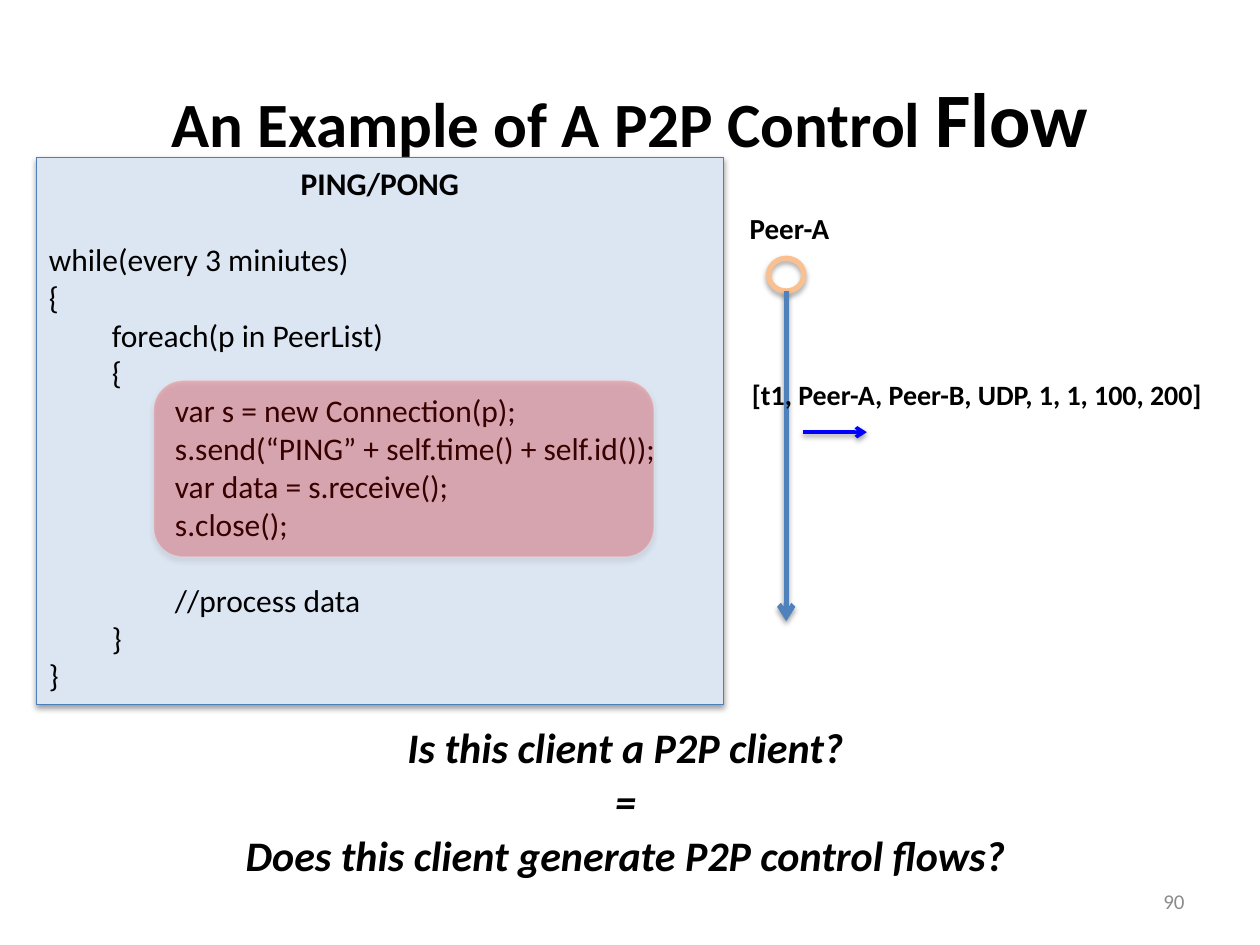
from lxml import etree
from pptx import Presentation
from pptx.dml.color import RGBColor as RGB
from pptx.enum.shapes import MSO_CONNECTOR as LINK, MSO_SHAPE as FORM
from pptx.enum.text import MSO_ANCHOR as ANCHOR, PP_ALIGN as ALIGN
from pptx.oxml.ns import qn
from pptx.util import Inches, Pt

BLACK = RGB(0, 0, 0)
WHITE = RGB(0xFF, 0xFF, 0xFF)
GRAY = RGB(0x8C, 0x8C, 0x8C)
PALE = RGB(0xDC, 0xE6, 0xF2)
EDGE = RGB(0x4B, 0x7E, 0xBC)
STEEL = RGB(0x4F, 0x81, 0xBD)
BLUE = RGB(0, 0, 0xFF)
RED = RGB(0xFF, 0, 0)
PEACH = RGB(0xFA, 0xC0, 0x90)

COLS, ROWS = 100, 75  # square cells on a 10 by 7.5 inch slide
CODE = [
    "while(every 3 miniutes)",
    "{",
    "\tforeach(p in PeerList)",
    "\t{",
    "\t\tvar s = new Connection(p);",
    "\t\ts.send(“PING” + self.time() + self.id());",
    "\t\tvar data = s.receive();",
    "\t\ts.close();",
    "\t\t//process data",
    "\t}",
    "}",
]
ASKS = ["Is this client a P2P client?", "=",
        "Does this client generate P2P control flows?"]


def add(node, tag, **attrs):
    return etree.SubElement(node, qn(tag), {k: str(v) for k, v in attrs.items()})


class Deck:
    base = {"name": "Calibri", "size": Pt(18), "bold": False}

    def __init__(self):
        self.prs = Presentation()
        self.prs.slide_width, self.prs.slide_height = Inches(10), Inches(7.5)
        self.slide = self.prs.slides.add_slide(self.prs.slide_layouts[5])
        self.shapes = self.slide.shapes

    def grid(self, x, y):
        return (round(self.prs.slide_width * x / COLS),
                round(self.prs.slide_height * y / ROWS))

    def area(self, x, y, w, h):
        return *self.grid(x, y), *self.grid(w, h)

    def style(self, font, color=BLACK, **form):
        for key, val in {**self.base, **form}.items():
            setattr(font, key, val)
        font.color.rgb = color

    def shade(self, shape, alpha, dist):
        props = shape._element.spPr
        for old in props.findall(qn("a:effectLst")):
            props.remove(old)
        drop = add(add(props, "a:effectLst"), "a:outerShdw", blurRad=Pt(3.1),
                   dist=Pt(dist), dir=5400000, rotWithShape=0)
        add(add(drop, "a:srgbClr", val="000000"), "a:alpha", val=alpha * 1000)

    def title(self, at, parts):
        box = self.shapes.title
        box.left, box.top, box.width, box.height = self.area(*at)
        box.text_frame.vertical_anchor = ANCHOR.MIDDLE
        para = box.text_frame.paragraphs[0]
        para.alignment = ALIGN.CENTER
        for text, size in parts:
            run = para.add_run()
            run.text = text
            self.style(run.font, size=Pt(size), bold=True)

    def lines(self, frame, rows, align=ALIGN.LEFT, space=None, gap=0, **form):
        for i, text in enumerate(rows):
            para = frame.paragraphs[0] if i == 0 else frame.add_paragraph()
            para.alignment = align
            if space:
                para.line_spacing = space
            if i and gap:
                para.space_before = Pt(gap)
            run = para.add_run()
            run.text = text
            self.style(run.font, **form)

    def text(self, at, rows, anchor=ANCHOR.TOP, wrap=True, fill=None, **form):
        box = self.shapes.add_textbox(*self.area(*at))
        if fill is not None:
            box.fill.solid()
            box.fill.fore_color.rgb = fill
        box.text_frame.word_wrap = wrap
        box.text_frame.vertical_anchor = anchor
        self.lines(box.text_frame, rows, **form)

    def shape(self, form, at, line, width, fill=None, alpha=None, shade=(35, 1.8)):
        item = self.shapes.add_shape(form, *self.area(*at))
        if fill is None:
            item.fill.background()
        else:
            item.fill.solid()
            item.fill.fore_color.rgb = fill
        item.line.color.rgb = line
        item.line.width = Pt(width)
        if alpha:
            for color in item._element.spPr.iter(qn("a:srgbClr")):
                add(color, "a:alpha", val=alpha * 1000)
        self.shade(item, *shade)
        return item

    def code(self, at, head, rows):
        box = self.shape(FORM.RECTANGLE, at, EDGE, 0.75, PALE, shade=(38, 1.6))
        frame = box.text_frame
        frame.word_wrap, frame.vertical_anchor = True, ANCHOR.TOP
        self.lines(frame, [head, *rows])
        first = frame.paragraphs[0]
        first.alignment, first.runs[0].font.bold = ALIGN.CENTER, True
        for para in frame.paragraphs[1:]:
            # One line of air before the loop and before the comment
            if para.text.startswith(("while", "\t\t//")):
                para.space_before = Pt(22)
            stops = add(para._p.get_or_add_pPr(), "a:tabLst")
            for step in (1, 2):
                add(stops, "a:tab", pos=Inches(step / 2), algn="l")

    def arrow(self, start, end, color, width):
        item = self.shapes.add_connector(
            LINK.STRAIGHT, *self.grid(*start), *self.grid(*end))
        item.line.color.rgb = color
        item.line.width = Pt(width)
        add(item.line._get_or_add_ln(), "a:tailEnd", type="arrow")
        self.shade(item, 38, 1.6)


def main():
    deck = Deck()
    # Title and page number
    deck.title((5, 3, 90, 12.5), [("An Example of A P2P Control ", 36), ("Flow", 44)])
    deck.text((71.7, 69.5, 23.3, 4), ["90"], ANCHOR.MIDDLE, align=ALIGN.RIGHT,
              size=Pt(12), color=GRAY)

    # Code panel with the marked exchange
    deck.code((2.9, 12.5, 54.5, 43.4), "PING/PONG", CODE)
    deck.shape(FORM.ROUNDED_RECTANGLE, (12.2, 30.2, 39.7, 14), WHITE, 0.75, RED, 22)

    # Peer timeline
    deck.shape(FORM.OVAL, (61, 20.5, 2.8, 2.6), PEACH, 3)
    deck.arrow((62.4, 23.1), (62.4, 49.3), STEEL, 3)
    deck.arrow((63.7, 34.3), (68.8, 34.3), BLUE, 2)
    deck.text((57, 16.5, 11.3, 3.8), ["Peer-A"], align=ALIGN.CENTER, space=0.9,
              size=Pt(16.6), bold=True)
    deck.text((58.7, 29.5, 39.4, 3.7), ["[t1, Peer-A, Peer-B, UDP, 1, 1, 100, 200]"],
              wrap=False, size=Pt(16), bold=True)

    # Closing question
    deck.text((5.8, 57, 87.7, 13.6), ASKS, ANCHOR.MIDDLE, fill=WHITE,
              align=ALIGN.CENTER, space=0.9, gap=4.8, size=Pt(24), bold=True,
              italic=True)
    deck.prs.save("out.pptx")


if __name__ == "__main__":
    main()
